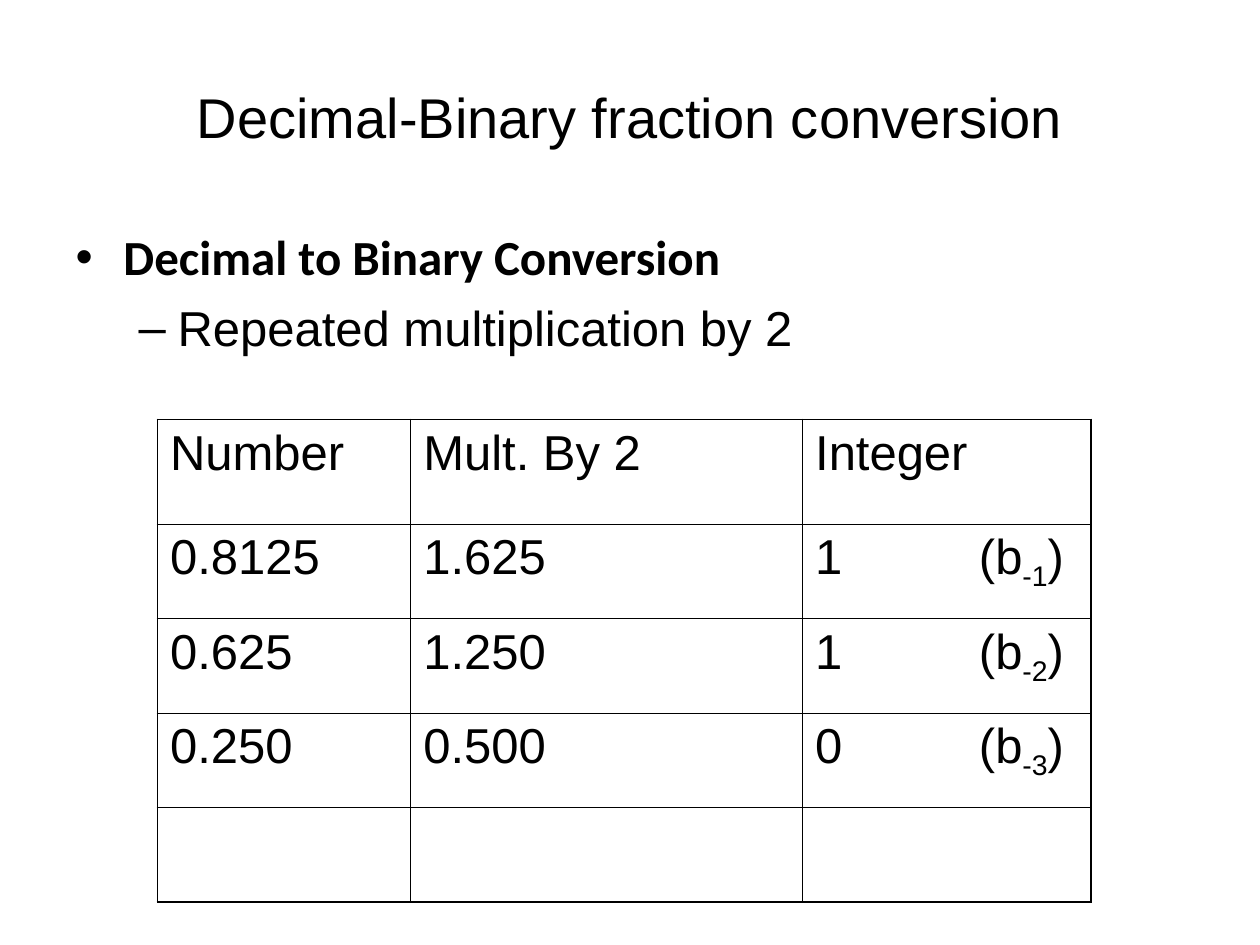
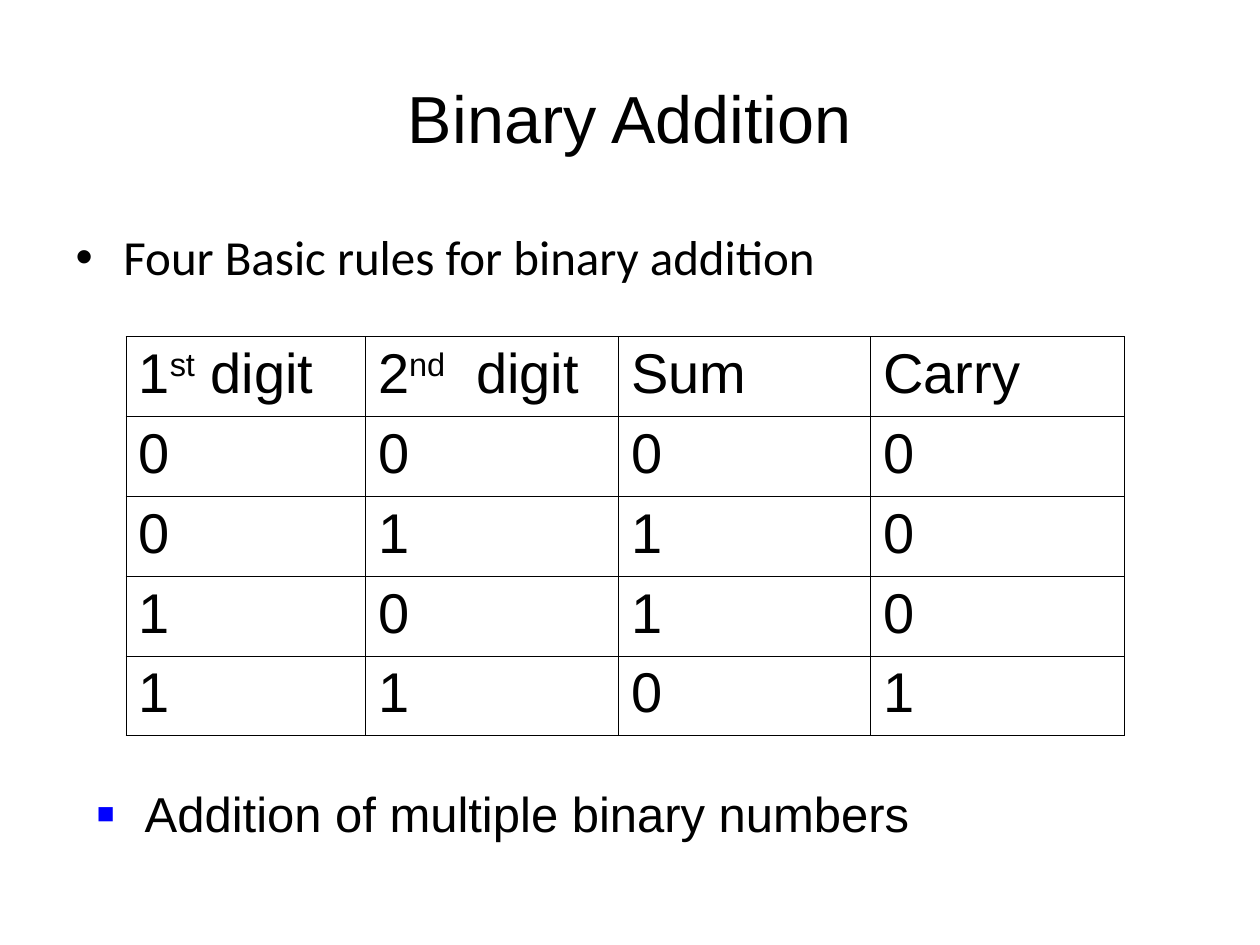
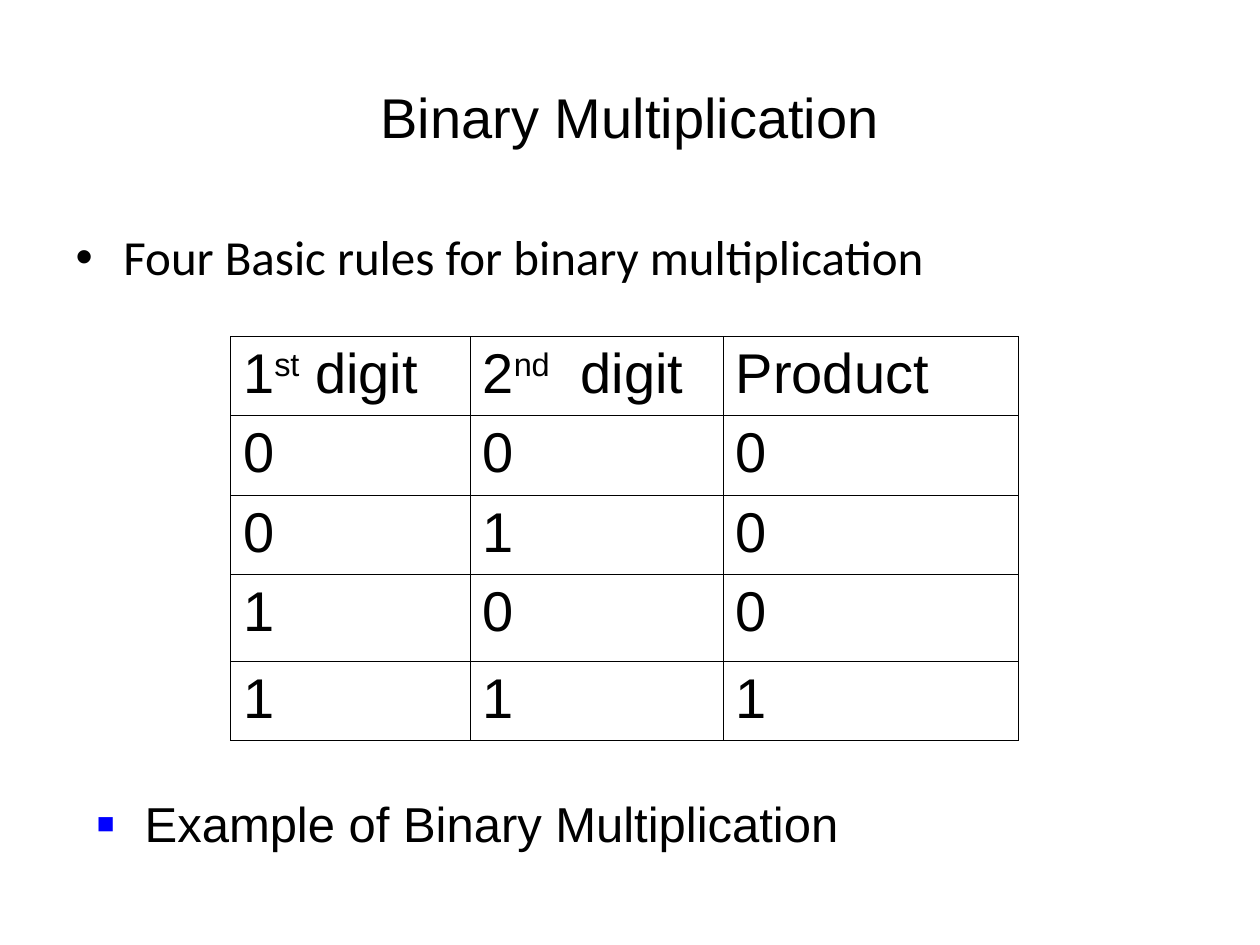
from dataclasses import dataclass

from lxml.etree import SubElement
from pptx import Presentation
from pptx.dml.color import RGBColor as RGB
from pptx.enum.text import MSO_ANCHOR as ANCHOR, MSO_AUTO_SIZE as FIT, PP_ALIGN as ALIGN
from pptx.oxml.ns import qn
from pptx.util import Inches, Pt


@dataclass(frozen=True)
class Theme:
    ink: str = "000000"
    accent: str = "0000FF"
    sans: str = "Arial"
    lead: str = "Calibri"
    title_size: int = 32
    large_title_size: int = 38
    text_size: int = 28
    digit_size: int = 32
    text_gap: int = 7
    thin: float = 0.45
    thick: float = 1.08


THEME = Theme()
SUPER, SUB = 30000, -25000
FIRST_DIGIT = ["1", ("st", SUPER), " digit"]
SECOND_DIGIT = ["2", ("nd", SUPER), "  digit"]


def add_color(parent, color):
    SubElement(parent, qn("a:srgbClr"), val=color)


def set_bullet(paragraph, mark, color, percent, left, hanging):
    props = paragraph._p.get_or_add_pPr()
    props.set("marL", str(Inches(left)))
    props.set("indent", str(-Inches(hanging)))
    add_color(SubElement(props, qn("a:buClr")), color)
    SubElement(props, qn("a:buSzPct"), val=str(percent * 1000))
    SubElement(props, qn("a:buFont"), typeface=THEME.sans)
    SubElement(props, qn("a:buChar"), char=mark)


def set_tab(paragraph, position):
    stops = SubElement(paragraph._p.get_or_add_pPr(), qn("a:tabLst"))
    SubElement(stops, qn("a:tab"), pos=str(Inches(position)), algn="l")


def write(paragraph, text, size=THEME.text_size, font=THEME.sans, bold=False,
          align=ALIGN.LEFT, before=0, level=0, bullet=None, tab=None):
    paragraph.alignment = align
    paragraph.level = level
    paragraph.space_before = Pt(before)
    if bullet:
        set_bullet(paragraph, **bullet)
    if tab:
        set_tab(paragraph, tab)
    for piece in [text] if isinstance(text, str) else text:
        words, baseline = (piece, 0) if isinstance(piece, str) else piece
        run = paragraph.add_run()
        run.text = words
        run.font.size = Pt(size)
        run.font.name = font
        run.font.bold = bold
        run.font.color.rgb = RGB.from_string(THEME.ink)
        if baseline:
            run.font._element.set("baseline", str(baseline))


def place(holder, left, top, width, height, anchor):
    holder.left, holder.top = Inches(left), Inches(top)
    holder.width, holder.height = Inches(width), Inches(height)
    frame = holder.text_frame
    frame.word_wrap = True
    frame.auto_size = FIT.NONE
    frame.vertical_anchor = anchor
    return frame


def bullet_style(mark, color=THEME.ink, percent=100, left=0.38, hanging=0.38):
    return dict(mark=mark, color=color, percent=percent, left=left, hanging=hanging)


def add_topic(deck, title, lead, title_size=THEME.title_size, bold=False,
              detail=None, body_width=8.92, body_height=0.75):
    slide = deck.slides.add_slide(deck.slide_layouts[1])
    heading = place(slide.shapes.title, 0.5, 0.3, 9, 1.25, ANCHOR.MIDDLE)
    write(heading.paragraphs[0], title, size=title_size, align=ALIGN.CENTER)
    body = place(slide.placeholders[1], 0.5, 1.75, body_width, body_height, ANCHOR.TOP)
    write(body.paragraphs[0], lead, font=THEME.lead, bold=bold,
          before=THEME.text_gap, bullet=bullet_style("•"))
    if detail:
        write(body.add_paragraph(), detail, level=1, before=THEME.text_gap,
              bullet=bullet_style("–", left=0.81, hanging=0.31))
    return slide


def add_closing_point(slide, text, top):
    box = slide.shapes.add_textbox(0, 0, 0, 0)
    frame = place(box, 0.67, top, 8.92, 0.75, ANCHOR.TOP)
    write(frame.paragraphs[0], text, before=THEME.text_gap,
          bullet=bullet_style("■", color=THEME.accent, percent=60))


def set_borders(cell, widths):
    props = cell._tc.get_or_add_tcPr()
    for side, width in widths.items():
        line = SubElement(props, qn(f"a:ln{side}"), w=str(Pt(width)))
        add_color(SubElement(line, qn("a:solidFill")), THEME.ink)


def add_grid(slide, rows, left, top, widths, heights, frame_width=THEME.thin, **text_format):
    last_row, last_column = len(rows) - 1, len(widths) - 1
    grid = slide.shapes.add_table(
        len(rows), len(widths), Inches(left), Inches(top),
        Inches(sum(widths)), Inches(sum(heights))).table
    grid.first_row = grid.horz_banding = False
    for column, width in zip(grid.columns, widths):
        column.width = Inches(width)
    for row, height in zip(grid.rows, heights):
        row.height = Inches(height)
    for r, values in enumerate(rows):
        for c, value in enumerate(values):
            cell = grid.cell(r, c)
            on_frame = {"L": c == 0, "R": c == last_column, "T": r == 0, "B": r == last_row}
            set_borders(cell, {side: frame_width if outer else THEME.thin
                               for side, outer in on_frame.items()})
            cell.fill.background()
            if value:
                write(cell.text_frame.paragraphs[0], value, **text_format)


def bit(value, position):
    return [f"{value}\t(b", (f"-{position}", SUB), ")"]


def truth_rows(*operations):
    return [[str(n) for n in (a, b, *(op(a, b) for op in operations))]
            for a in (0, 1) for b in (0, 1)]


def build_fraction(deck):
    slide = add_topic(deck, "Decimal-Binary fraction conversion",
                      "Decimal to Binary Conversion", bold=True,
                      detail="Repeated multiplication by 2",
                      body_width=8.75, body_height=1.42)
    steps = [
        ["Number", "Mult. By 2", "Integer"],
        ["0.8125", "1.625", bit(1, 1)],
        ["0.625", "1.250", bit(1, 2)],
        ["0.250", "0.500", bit(0, 3)],
        ["", "", ""],
    ]
    add_grid(slide, steps, 1.25, 3.33, [2.01, 3.11, 2.29], [0.83] + [0.75] * 4,
             frame_width=THEME.thick, before=THEME.text_gap, tab=1.3)


def build_addition(deck):
    slide = add_topic(deck, "Binary Addition", "Four Basic rules for binary addition",
                      title_size=THEME.large_title_size)
    rules = [[FIRST_DIGIT, SECOND_DIGIT, "Sum", "Carry"]]
    rules += truth_rows(lambda a, b: a ^ b, lambda a, b: a & b)
    add_grid(slide, rules, 1, 2.67, [1.9, 2.01, 2, 2.01], [3.17 / 5] * 5,
             size=THEME.digit_size, align=ALIGN.JUSTIFY)
    add_closing_point(slide, "Addition of multiple binary numbers", 6.17)


def build_multiplication(deck):
    slide = add_topic(deck, "Binary Multiplication",
                      "Four Basic rules for binary multiplication")
    rules = [[FIRST_DIGIT, SECOND_DIGIT, "Product"]]
    rules += truth_rows(lambda a, b: a * b)
    add_grid(slide, rules, 1.83, 2.67, [1.9, 2.01, 2.34], [0.63, 0.63, 0.63, 0.69, 0.63],
             size=THEME.digit_size, align=ALIGN.JUSTIFY)
    add_closing_point(slide, "Example of Binary Multiplication", 6.25)


def main():
    deck = Presentation()
    deck.slide_width, deck.slide_height = Inches(10), Inches(7.5)
    build_fraction(deck)
    build_addition(deck)
    build_multiplication(deck)
    deck.save("out.pptx")


if __name__ == "__main__":
    main()
